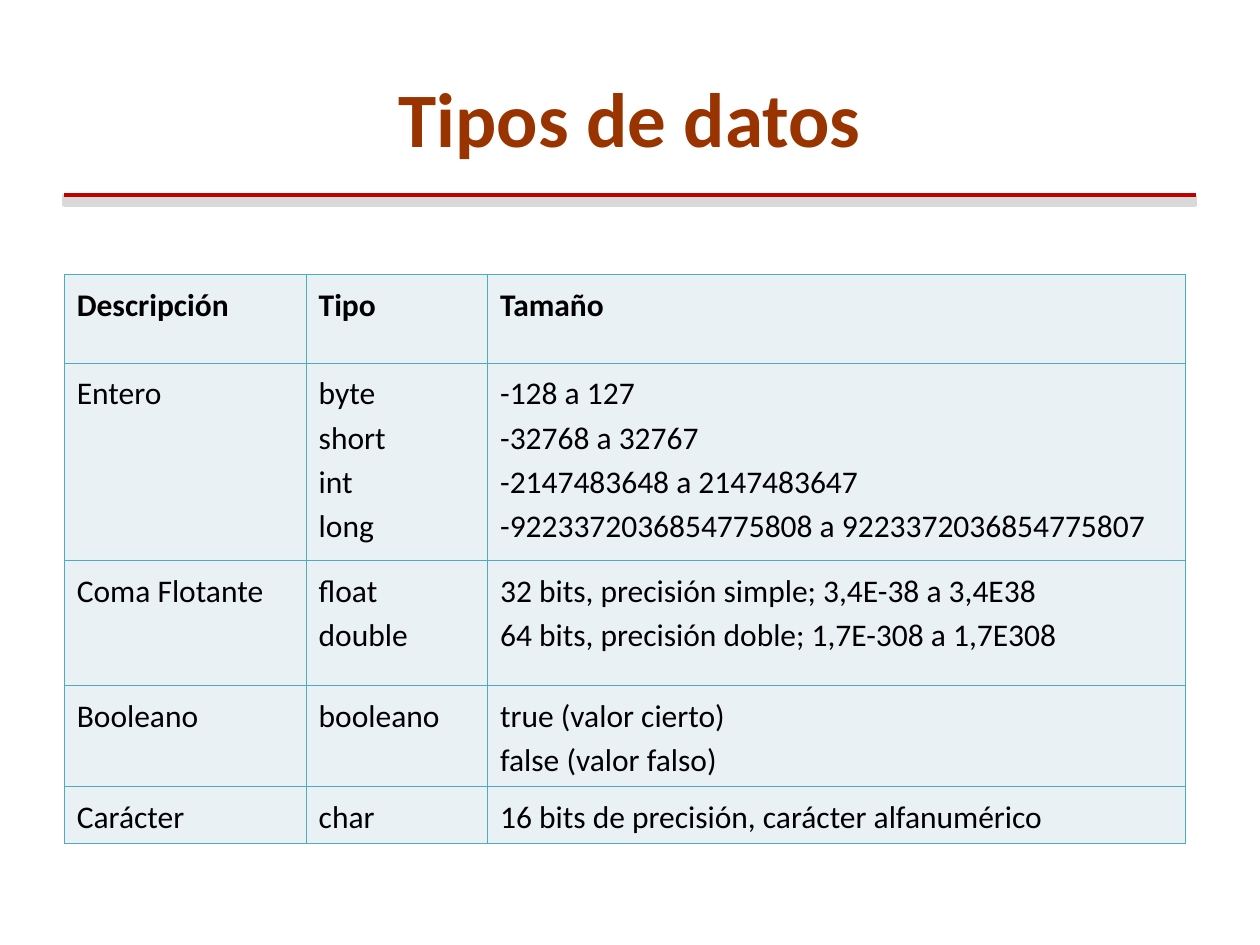
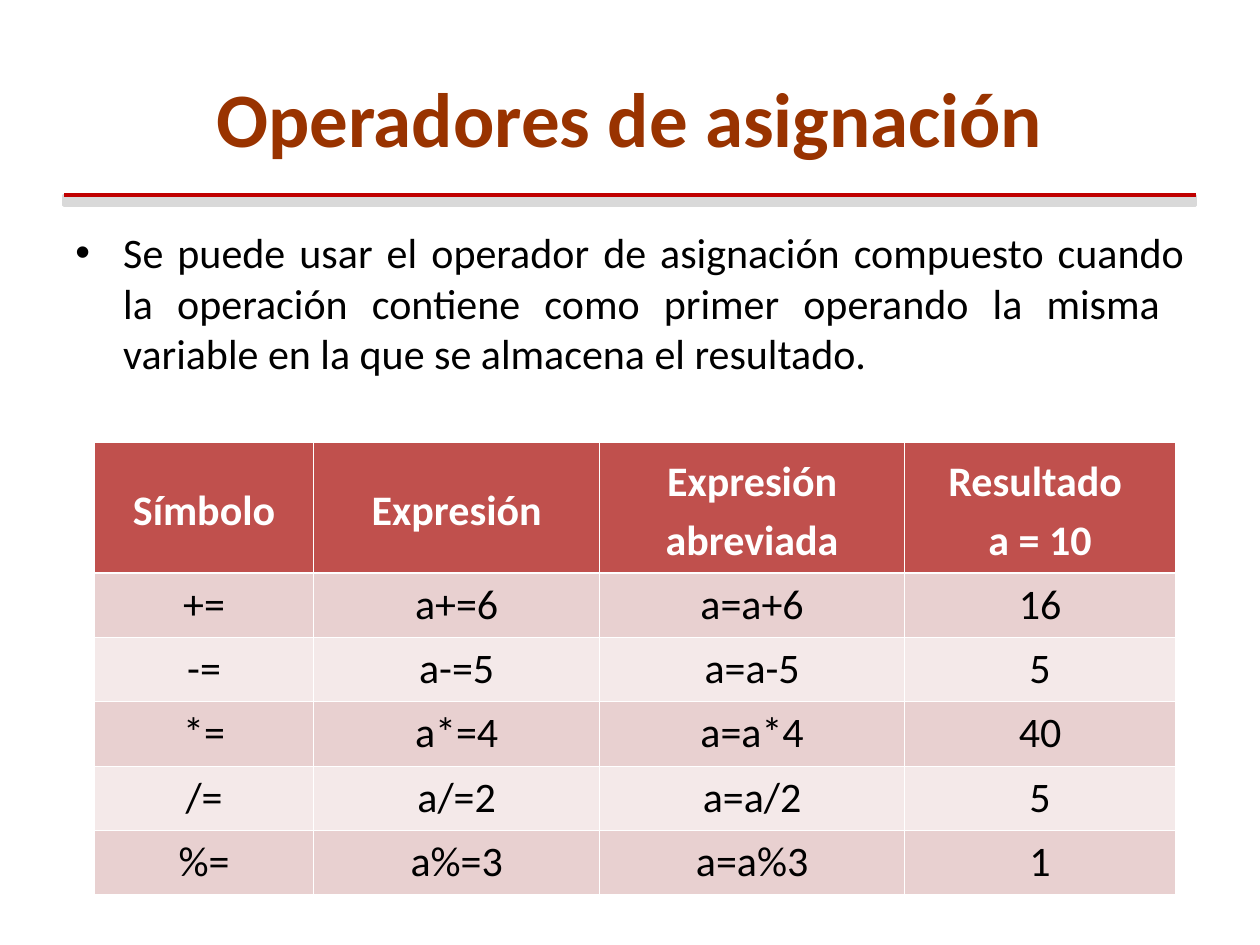
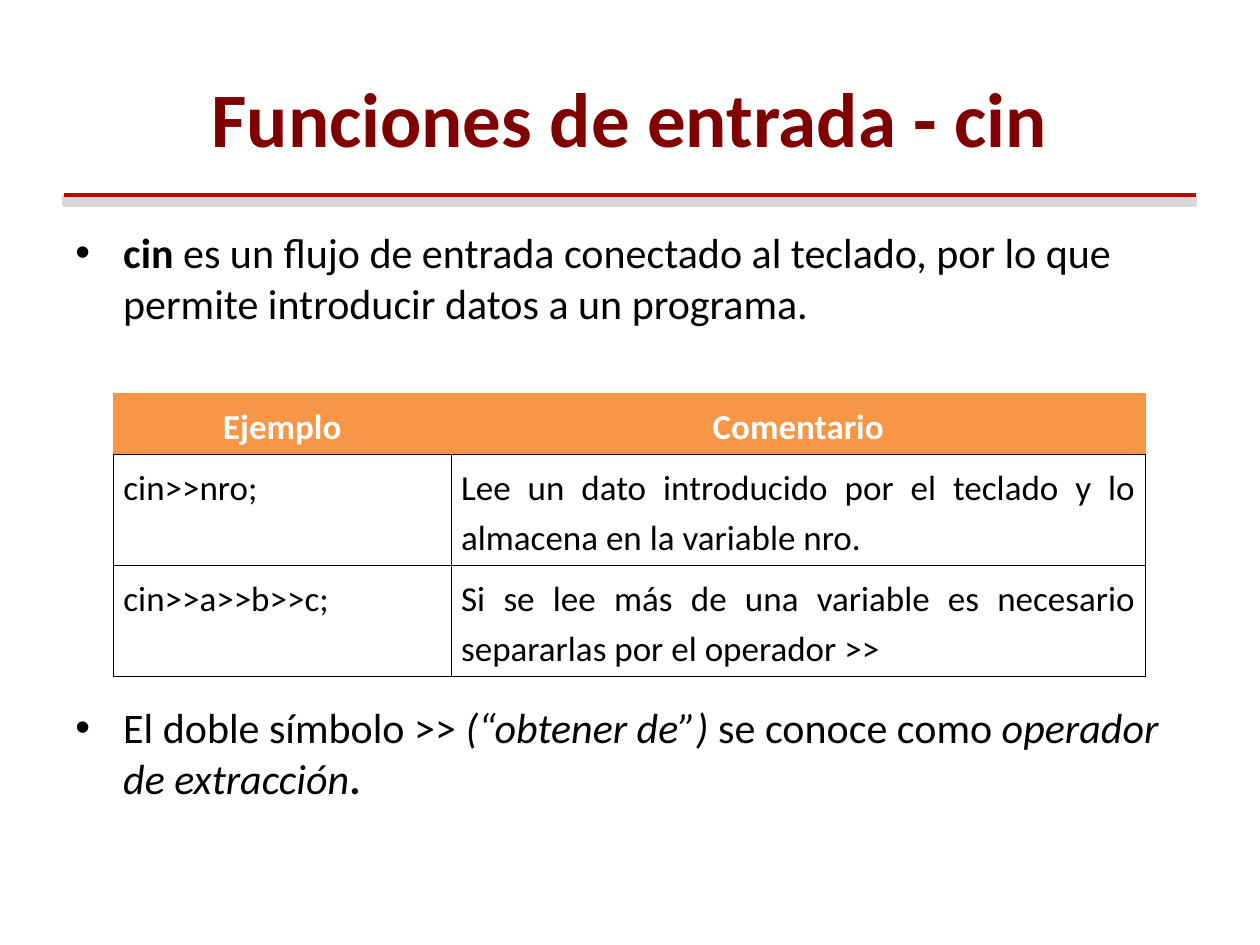
from dataclasses import dataclass
from typing import Any, NamedTuple

import lxml.etree
import pptx
import pptx.dml.color
import pptx.enum.shapes
import pptx.enum.text
import pptx.oxml.ns
import pptx.util

Inches = pptx.util.Inches
Align = pptx.enum.text.PP_ALIGN
Anchor = pptx.enum.text.MSO_ANCHOR
qn = pptx.oxml.ns.qn


@dataclass(frozen=True)
class Theme:
    font: str = "Calibri"
    black: str = "000000"
    white: str = "FFFFFF"
    rust: str = "993300"
    maroon: str = "800000"
    red: str = "C00000"
    gray: str = "D9D9D9"
    ice: str = "E9F1F5"
    teal: str = "4BACC6"
    brick: str = "C0504D"
    rose: str = "E8D0D0"
    blush: str = "F4E9E9"
    orange: str = "F79646"
    amber: str = "F69240"
    title: float = 44
    body: float = 24
    note: float = 20
    small: float = 18
    lead: float = 1.15


THEME = Theme()


class Edge(NamedTuple):
    color: str
    width: float = 0.45


class Run(NamedTuple):
    text: str
    bold: bool = False
    italic: bool = False


class Point(NamedTuple):
    """A bulleted paragraph; gap is the space before it in points."""
    runs: list[Run]
    align: Align = Align.LEFT
    gap: float = 0


@dataclass(frozen=True)
class Grid:
    """A table: its first row is the head, and body fills take turns."""
    left: float
    top: float
    cols: list[float]
    rows: list[float]
    cells: list[list[str]]
    size: float
    ink: str
    head: str
    fills: list[str | None]
    edge: Edge
    brim: Edge
    rule: Edge
    aligns: list[Align]
    centre: bool = False
    lead: float = THEME.lead
    inset: float = 0.1


class Page(NamedTuple):
    title: str
    color: str
    grid: Grid
    points: list[Point] = []
    height: float = 0


def rgb(code: str) -> pptx.dml.color.RGBColor:
    return pptx.dml.color.RGBColor.from_string(code)


def write(para: Any, text: str, *, size: float = THEME.body, color: str = THEME.black,
          bold: bool = False, italic: bool = False, align: Align = Align.LEFT,
          lead: float = 1.0) -> None:
    """Add a run of text to a paragraph and format both."""
    para.alignment = align
    para.line_spacing = lead
    run = para.add_run()
    run.text = text
    font = run.font
    font.name, font.size = THEME.font, pptx.util.Pt(size)
    font.bold, font.italic = bold, italic
    font.color.rgb = rgb(color)


def nth(frame: Any, index: int) -> Any:
    """Return the first paragraph of a frame, or a new one after it."""
    return frame.paragraphs[0] if index == 0 else frame.add_paragraph()


def head(slide: Any, text: str, color: str) -> None:
    shape = slide.shapes.title
    shape.left, shape.top = Inches(0.5), Inches(0.3)
    shape.width, shape.height = Inches(9), Inches(1.25)
    shape.text_frame.vertical_anchor = Anchor.MIDDLE
    write(shape.text_frame.paragraphs[0], text, size=THEME.title, color=color,
          bold=True, align=Align.CENTER)


def band(slide: Any) -> None:
    """Draw the gray band and the red line under the title."""
    left, top, width = Inches(0.51), Inches(1.55), Inches(8.98)
    bar = slide.shapes.add_shape(pptx.enum.shapes.MSO_SHAPE.RECTANGLE,
                                 left, top, width, Inches(0.08))
    bar.shadow.inherit = False
    bar.fill.solid()
    bar.fill.fore_color.rgb = bar.line.color.rgb = rgb(THEME.gray)
    bar.line.width = pptx.util.Pt(2)
    line = slide.shapes.add_connector(pptx.enum.shapes.MSO_CONNECTOR.STRAIGHT,
                                      left, top, left + width, top)
    line.line.color.rgb = rgb(THEME.red)
    line.line.width = pptx.util.Pt(2.25)
    lxml.etree.SubElement(line._element.spPr, qn("a:effectLst"))


def dot(para: Any) -> None:
    """Give a paragraph a hanging bullet."""
    props = para._p.get_or_add_pPr()
    props.set("marL", str(Inches(0.38)))
    props.set("indent", str(-Inches(0.38)))
    color = lxml.etree.SubElement(props, qn("a:buClr"))
    lxml.etree.SubElement(color, qn("a:srgbClr"), val=THEME.black)
    lxml.etree.SubElement(props, qn("a:buFont"), typeface="Arial")
    lxml.etree.SubElement(props, qn("a:buChar"), char="•")


def listing(slide: Any, points: list[Point], height: float) -> None:
    box = slide.shapes.add_textbox(Inches(0.5), Inches(1.75), Inches(9), Inches(height))
    frame = box.text_frame
    frame.word_wrap = True
    for index, point in enumerate(points):
        para = nth(frame, index)
        for run in point.runs:
            write(para, run.text, bold=run.bold, italic=run.italic, align=point.align)
        para.space_before = pptx.util.Pt(point.gap)
        dot(para)


def border(cell: Any, side: Edge, top: Edge, base: Edge) -> None:
    props = cell._tc.get_or_add_tcPr()
    for name, edge in zip("LRTB", (side, side, top, base)):
        line = lxml.etree.SubElement(props, qn(f"a:ln{name}"),
                                     w=str(pptx.util.Pt(edge.width)))
        fill = lxml.etree.SubElement(line, qn("a:solidFill"))
        lxml.etree.SubElement(fill, qn("a:srgbClr"), val=edge.color)


def paint(cell: Any, color: str | None) -> None:
    if color is None:
        cell.fill.background()
    else:
        cell.fill.solid()
        cell.fill.fore_color.rgb = rgb(color)


def table(slide: Any, grid: Grid) -> None:
    shape = slide.shapes.add_table(len(grid.rows), len(grid.cols),
                                   Inches(grid.left), Inches(grid.top),
                                   Inches(sum(grid.cols)), Inches(sum(grid.rows)))
    tab = shape.table
    tab.first_row = tab.horz_banding = False
    for col, width in zip(tab.columns, grid.cols):
        col.width = Inches(width)
    for row, height in zip(tab.rows, grid.rows):
        row.height = Inches(height)
    for r, texts in enumerate(grid.cells):
        first = r == 0
        side = grid.brim if first else grid.edge
        top = grid.brim if first else grid.rule if r == 1 else grid.edge
        base = grid.rule if first else grid.edge
        for c, text in enumerate(texts):
            cell = tab.cell(r, c)
            cell.margin_left = cell.margin_right = Inches(grid.inset)
            cell.vertical_anchor = Anchor.MIDDLE if first and grid.centre else Anchor.TOP
            border(cell, side, top, base)
            paint(cell, grid.head if first else grid.fills[(r - 1) % len(grid.fills)])
            for index, line in enumerate(text.split("\n")):
                write(nth(cell.text_frame, index), line, size=grid.size, bold=first,
                      color=grid.ink if first else THEME.black,
                      align=Align.CENTER if first and grid.centre else grid.aligns[c],
                      lead=THEME.lead if first else grid.lead)


TYPES = Grid(
    left=0.51, top=2.18, cols=[1.92, 1.44, 5.54], rows=[0.7, 1.57, 0.99, 0.8, 0.45],
    cells=[
        ["Descripción", "Tipo", "Tamaño"],
        ["Entero", "byte\nshort\nint\nlong",
         "-128 a 127\n-32768 a 32767\n-2147483648 a 2147483647\n"
         "-9223372036854775808 a 9223372036854775807"],
        ["Coma Flotante", "float\ndouble",
         "32 bits, precisión simple; 3,4E-38 a 3,4E38\n"
         "64 bits, precisión doble; 1,7E-308 a 1,7E308"],
        ["Booleano", "booleano", "true (valor cierto)\nfalse (valor falso)"],
        ["Carácter", "char", "16 bits de precisión, carácter alfanumérico"],
    ],
    size=THEME.small, ink=THEME.black, head=THEME.ice, fills=[THEME.ice],
    edge=Edge(THEME.teal), brim=Edge(THEME.teal), rule=Edge(THEME.teal),
    aligns=[Align.LEFT] * 3)

SIGNS = Grid(
    left=0.75, top=3.51, cols=[1.74, 2.27, 2.42, 2.15], rows=[1.04] + [0.51] * 5,
    cells=[
        ["Símbolo", "Expresión", "Expresión abreviada", "Resultado \na = 10"],
        *([f"{sign}=", f"a{sign}={num}", f"a=a{sign}{num}", result]
          for sign, num, result in [("+", 6, "16"), ("-", 5, "5"), ("*", 4, "40"),
                                    ("/", 2, "5"), ("%", 3, "1")]),
    ],
    size=THEME.body, ink=THEME.white, head=THEME.brick, fills=[THEME.rose, THEME.blush],
    edge=Edge(THEME.white), brim=Edge(THEME.white), rule=Edge(THEME.white, 1.47),
    aligns=[Align.CENTER] * 4, centre=True, lead=1.0)

INPUT = Grid(
    left=0.9, top=3.12, cols=[2.68, 5.51], rows=[0.49, 0.88, 0.88],
    cells=[
        ["Ejemplo", "Comentario"],
        ["cin>>nro;",
         "Lee un dato introducido por el teclado y lo almacena en la variable nro."],
        ["cin>>a>>b>>c;",
         "Si se lee más de una variable es necesario separarlas por el operador >>"],
    ],
    size=THEME.note, ink=THEME.white, head=THEME.orange, fills=[None],
    edge=Edge(THEME.black), brim=Edge(THEME.amber, 0.34), rule=Edge(THEME.black),
    aligns=[Align.LEFT, Align.JUSTIFY], centre=True, inset=0.08)

PAGES = [
    Page("Tipos de datos", THEME.rust, TYPES),
    Page("Operadores de asignación", THEME.rust, SIGNS, [
        Point([Run("Se puede usar el operador de asignación compuesto cuando la operación "
                   "contiene como primer operando la misma  variable en la que se "
                   "almacena el resultado.")], Align.JUSTIFY),
    ], 1.61),
    Page("Funciones de entrada - cin", THEME.maroon, INPUT, [
        Point([Run("cin", bold=True),
               Run(" es un flujo de entrada conectado al teclado, por lo que permite "
                   "introducir datos a un programa.")]),
        Point([Run("El doble símbolo >> "), Run("(“obtener de”) ", italic=True),
               Run("se conoce como "), Run("operador de extracción", italic=True),
               Run(".", bold=True)], gap=214),
    ], 5.23),
]


def main() -> None:
    deck = pptx.Presentation()
    deck.slide_width, deck.slide_height = Inches(10), Inches(7.5)
    layout = deck.slide_layouts.get_by_name("Title Only")
    for page in PAGES:
        slide = deck.slides.add_slide(layout)
        band(slide)
        head(slide, page.title, page.color)
        if page.points:
            listing(slide, page.points, page.height)
        table(slide, page.grid)
    deck.save("out.pptx")


if __name__ == "__main__":
    main()
